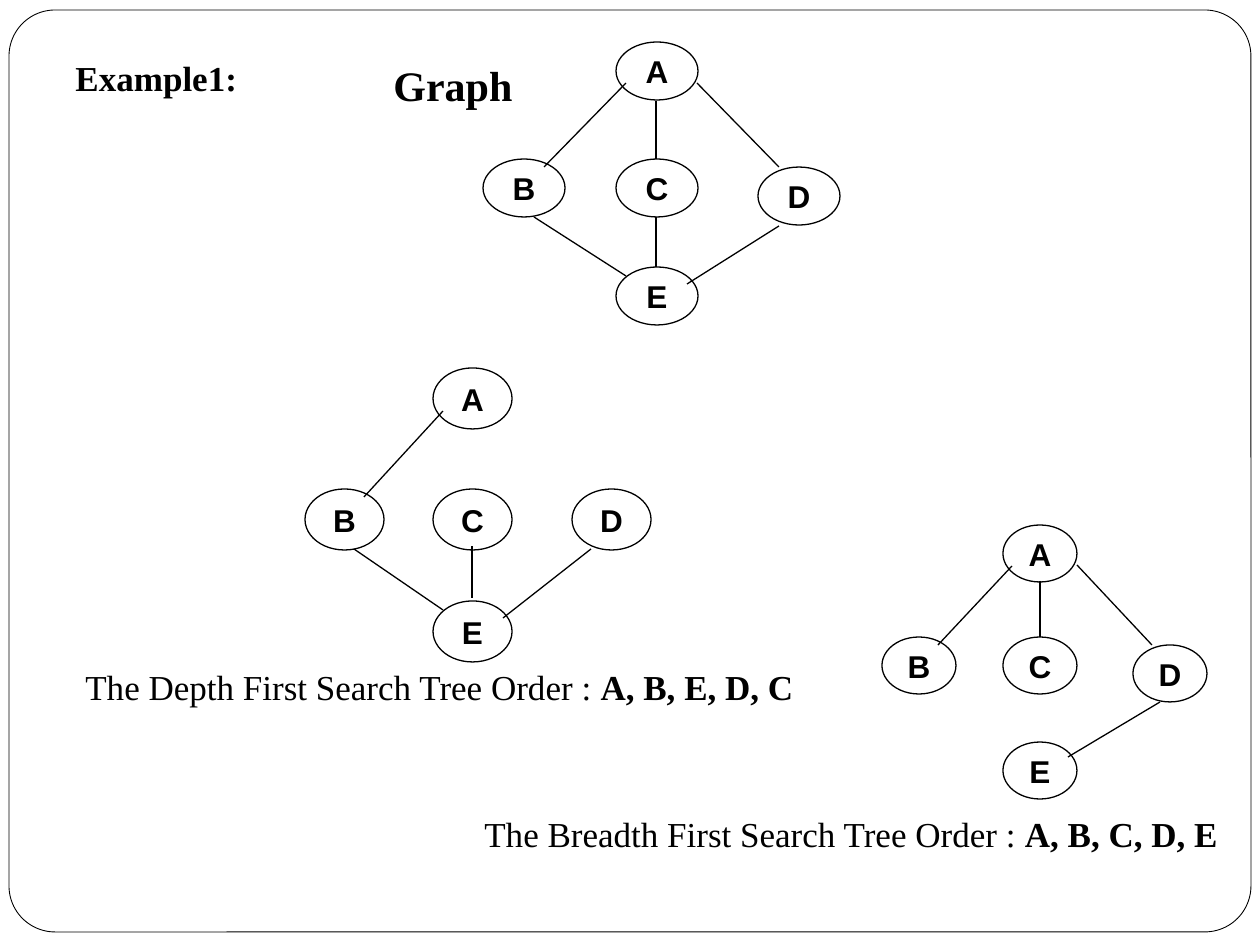
"""Build a slide with a graph and its depth first and breadth first search trees."""
from lxml import etree
from pptx import Presentation
from pptx import util as u
from pptx.dml.color import RGBColor
from pptx.enum import shapes, text
from pptx.oxml.ns import qn

SCALE = 914400 / 126
WIDTH, HEIGHT = 1260, 945
BLACK, WHITE = "000000", "FFFFFF"
SERIF, SANS = "Times New Roman", "Arial"
FRAME = (9, 10, 1242, 922)
FRAME_CORNER = 0.05

DIAGRAMS = [
    {
        "grouped": False,
        "node_size": (79, 61),
        "nodes": {"A": (433, 368), "B": (305, 489), "E": (433, 601),
                  "D": (572, 489), "C": (433, 489)},
        "edges": [(443, 411, 364, 497), (354, 549, 443, 610),
                  (503, 618, 591, 549), (472, 598, 472, 546)],
        "label": {"box": (73, 659, 756, 55), "size": 20, "wrap": True,
                  "runs": [("The Depth First Search Tree Order : ", False),
                           ("A, B, E, D, C", True)]},
    },
    {
        "grouped": True,
        "node_size": (74, 57),
        "nodes": {"A": (1003, 525), "B": (882, 637), "E": (1003, 742),
                  "D": (1133, 645), "C": (1003, 637)},
        "edges": [(1012, 566, 938, 645), (1152, 645, 1077, 565),
                  (1040, 581, 1040, 637), (1160, 702, 1068, 757)],
        "label": {"box": (472, 806, 766, 55), "size": 20, "wrap": True,
                  "runs": [("The Breadth First Search Tree Order : ", False),
                           ("A, B, C, D, E", True)]},
    },
    {
        "grouped": True,
        "node_size": (82, 58),
        "nodes": {"A": (616, 42), "B": (483, 159), "E": (616, 267),
                  "D": (758, 167), "C": (616, 159)},
        "edges": [(626, 83, 544, 167), (534, 217, 626, 276),
                  (687, 284, 779, 226), (779, 167, 697, 83),
                  (656, 101, 656, 159), (656, 217, 656, 267)],
        "label": {"box": (381, 53, 144, 63), "size": 24, "wrap": False,
                  "runs": [("Graph", True)]},
    },
]
HEADING = {"box": (63, 50, 210, 55), "size": 20, "wrap": True,
           "runs": [("Example1:", True)]}


def px(*lengths):
    return [u.Emu(round(length * SCALE)) for length in lengths]


def color(value):
    return RGBColor.from_string(value)


def set_line(shape, width):
    shape.line.color.rgb = color(BLACK)
    shape.line.width = u.Pt(width)


def add_run(paragraph, words, font_name, size, bold):
    run = paragraph.add_run()
    run.text = words
    run.font.name = font_name
    run.font.size = u.Pt(size)
    run.font.bold = bold
    run.font.color.rgb = color(BLACK)


def add_frame(canvas):
    frame = canvas.add_shape(shapes.MSO_SHAPE.ROUNDED_RECTANGLE, *px(*FRAME))
    frame.adjustments[0] = FRAME_CORNER
    frame.shadow.inherit = False
    frame.fill.background()
    set_line(frame, 0.5)


def add_label(canvas, label):
    frame = canvas.add_textbox(*px(*label["box"])).text_frame
    frame.word_wrap = label["wrap"]
    for words, bold in label["runs"]:
        add_run(frame.paragraphs[0], words, SERIF, label["size"], bold)


def add_node(canvas, name, corner, size):
    node = canvas.add_shape(shapes.MSO_SHAPE.OVAL, *px(*corner, *size))
    node.shadow.inherit = False
    node.fill.solid()
    node.fill.fore_color.rgb = color(WHITE)
    set_line(node, 0.75)
    frame = node.text_frame
    frame.word_wrap = False
    frame.vertical_anchor = text.MSO_ANCHOR.MIDDLE
    paragraph = frame.paragraphs[0]
    paragraph.alignment = text.PP_ALIGN.CENTER
    add_run(paragraph, name, SANS, 18, True)


def add_edge(canvas, ends):
    edge = canvas.add_connector(shapes.MSO_CONNECTOR.STRAIGHT, *px(*ends))
    set_line(edge, 0.75)
    etree.SubElement(edge._element.spPr, qn("a:effectLst"))


def add_diagram(slide, diagram):
    canvas = slide.shapes
    if diagram["grouped"]:
        canvas = canvas.add_group_shape().shapes
    for name, corner in diagram["nodes"].items():
        add_node(canvas, name, corner, diagram["node_size"])
    for ends in diagram["edges"]:
        add_edge(canvas, ends)
    add_label(slide.shapes, diagram["label"])


def main():
    presentation = Presentation()
    presentation.slide_width, presentation.slide_height = px(WIDTH, HEIGHT)
    slide = presentation.slides.add_slide(presentation.slide_layouts[6])
    add_frame(slide.shapes)
    for diagram in DIAGRAMS:
        add_diagram(slide, diagram)
    add_label(slide.shapes, HEADING)
    presentation.save("out.pptx")


if __name__ == "__main__":
    main()
